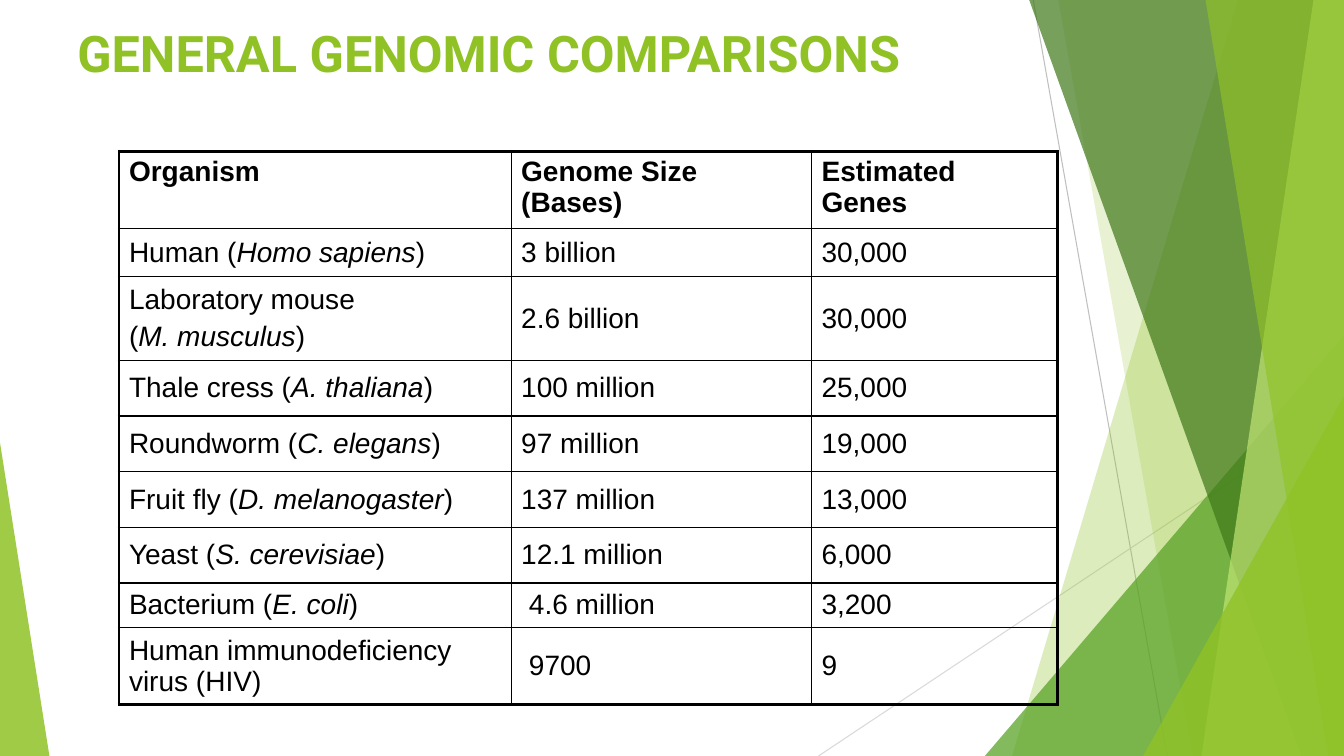
from dataclasses import dataclass

import pptx
import pptx.dml.color
import pptx.enum.shapes
import pptx.enum.text
import pptx.oxml
import pptx.oxml.ns
import pptx.util
from pptx.dml.color import RGBColor

LIME = RGBColor(0x90, 0xC2, 0x26)
GREEN = RGBColor(0x54, 0xA0, 0x21)
FOREST = RGBColor(0x3F, 0x78, 0x19)
PALE_LIME = RGBColor(0xC0, 0xE4, 0x74)
GREY = RGBColor(0xBF, 0xBF, 0xBF)
LIGHT_GREY = RGBColor(0xD9, 0xD9, 0xD9)
BLACK = RGBColor(0, 0, 0)

WIDTH = pptx.util.Inches(13.333)
HEIGHT = pptx.util.Inches(7.5)
THIN = pptx.util.Pt(1)
THICK = pptx.util.Pt(2.25)

Paragraph = tuple[str, ...]


@dataclass
class Ray:
    x1: float
    y1: float
    x2: float
    y2: float
    color: RGBColor


@dataclass
class Ribbon:
    top: float
    bottom: float
    color: RGBColor
    opacity: int


@dataclass
class Peak:
    left: float
    top: float
    width: float
    apex: float
    color: RGBColor
    opacity: int


@dataclass
class Row:
    organism: tuple[Paragraph, ...]
    genome: str
    genes: str
    height: float


RAYS = [
    Ray(76.88, 0, 86.85, 100, GREY),
    Ray(100, 53.73, 60.9, 100, LIGHT_GREY),
]
FACETS = [
    Ribbon(92.1, 75.3, LIME, 30),
    Ribbon(78.75, 88.73, LIME, 20),
    Peak(73.28, 44.4, 26.72, 1, GREEN, 72),
    Ribbon(76.58, 96.83, FOREST, 70),
    Ribbon(97.73, 89.4, PALE_LIME, 70),
    Ribbon(89.7, 98.85, LIME, 65),
    Peak(85.05, 52.4, 14.95, 1, LIME, 80),
    Peak(0, 58.53, 3.68, 0, LIME, 85),
]
COLUMNS = [29.18, 22.35, 18.3]
ROWS = [
    Row((("Organism",),), "Genome Size (Bases)", "Estimated Genes", 10.2),
    Row((("Human (", "Homo sapiens", ")"),), "3 billion", "30,000", 6.4),
    Row((("Laboratory mouse",), ("(", "M. musculus", ")")), "2.6 billion", "30,000", 11.07),
    Row((("Thale cress (", "A. thaliana", ")"),), "100 million", "25,000", 7.37),
    Row((("Roundworm (", "C. elegans", ")"),), "97 million", "19,000", 7.37),
    Row((("Fruit fly (", "D. melanogaster", ")"),), "137 million", "13,000", 7.37),
    Row((("Yeast (", "S. cerevisiae", ")"),), "12.1 million", "6,000", 7.37),
    Row((("Bacterium (", "E. coli", ")"),), " 4.6 million", "3,200", 5.87),
    Row((("Human immunodeficiency virus (HIV)",),), " 9700", "9", 10.2),
]


def across(share: float) -> int:
    return round(WIDTH * share / 100)


def down(share: float) -> int:
    return round(HEIGHT * share / 100)


def draw_ray(s, ray: Ray) -> None:
    line = s.shapes.add_connector(
        pptx.enum.shapes.MSO_CONNECTOR.STRAIGHT,
        across(ray.x1), down(ray.y1), across(ray.x2), down(ray.y2))
    line.line.color.rgb = ray.color
    line.line.width = pptx.util.Pt(0.75)
    pptx.oxml.ns.qn("a:effectLst")
    line.element.spPr.append(pptx.oxml.parse_xml(
        f'<a:effectLst {pptx.oxml.ns.nsdecls("a")}/>'))


def draw_facet(s, facet: Ribbon | Peak) -> None:
    if isinstance(facet, Ribbon):
        outline = s.shapes.build_freeform(across(facet.top), 0, scale=1.0)
        outline.add_line_segments(
            [(WIDTH, 0), (WIDTH, HEIGHT), (across(facet.bottom), HEIGHT)], close=True)
        sp = outline.convert_to_shape()
    else:
        sp = s.shapes.add_shape(
            pptx.enum.shapes.MSO_SHAPE.ISOSCELES_TRIANGLE,
            across(facet.left), down(facet.top),
            across(facet.width), down(100 - facet.top))
        sp.adjustments[0] = facet.apex
    sp.shadow.inherit = False
    sp.fill.solid()
    sp.fill.fore_color.rgb = facet.color
    sp.line.fill.background()
    for color in sp.element.spPr.iter(pptx.oxml.ns.qn("a:srgbClr")):
        color.append(pptx.oxml.parse_xml(
            f'<a:alpha {pptx.oxml.ns.nsdecls("a")} val="{facet.opacity * 1000}"/>'))


def draw_title(s, text: str) -> None:
    sp = s.shapes.title
    sp.left, sp.top = across(5), down(2.27)
    sp.width, sp.height = across(90), down(16.67)
    tf = sp.text_frame
    tf.word_wrap = True
    tf.auto_size = pptx.enum.text.MSO_AUTO_SIZE.NONE
    tf.vertical_anchor = pptx.enum.text.MSO_ANCHOR.TOP
    p = tf.paragraphs[0]
    p.alignment = pptx.enum.text.PP_ALIGN.LEFT
    r = p.add_run()
    r.text = text
    r.font.name = "Roboto"
    r.font.size = pptx.util.Pt(36)
    r.font.bold = True
    r.font.color.rgb = LIME
    sp.element.getparent().append(sp.element)


def set_borders(cell, i: int, j: int) -> None:
    outer = {"L": j == 0, "R": j == len(COLUMNS) - 1, "T": i == 0, "B": i == len(ROWS) - 1}
    tcPr = cell._tc.get_or_add_tcPr()
    for side, thick in outer.items():
        tcPr.append(pptx.oxml.parse_xml(
            f'<a:ln{side} {pptx.oxml.ns.nsdecls("a")} w="{THICK if thick else THIN}">'
            f'<a:solidFill><a:srgbClr val="{BLACK}"/></a:solidFill></a:ln{side}>'))


def fill_cell(cell, paragraphs: tuple[Paragraph, ...], header: bool) -> None:
    anchors = pptx.enum.text.MSO_ANCHOR
    cell.vertical_anchor = anchors.TOP if header else anchors.MIDDLE
    cell.fill.background()
    tf = cell.text_frame
    for k, spans in enumerate(paragraphs):
        p = tf.add_paragraph() if k else tf.paragraphs[0]
        if k:
            p.space_before = pptx.util.Pt(4)
        for n, span in enumerate(spans):
            r = p.add_run()
            r.text = span
            r.font.name = "Arial"
            r.font.size = pptx.util.Pt(20)
            r.font.bold = header
            r.font.italic = n % 2 == 1
            r.font.color.rgb = BLACK


def draw_table(s) -> None:
    table = s.shapes.add_table(
        len(ROWS), len(COLUMNS), across(8.85), down(20),
        across(sum(COLUMNS)), down(sum(row.height for row in ROWS))).table
    table.first_row = table.horz_banding = False
    for j, share in enumerate(COLUMNS):
        table.columns[j].width = across(share)
    for i, row in enumerate(ROWS):
        table.rows[i].height = down(row.height)
        for j, text in enumerate((row.organism, ((row.genome,),), ((row.genes,),))):
            cell = table.cell(i, j)
            set_borders(cell, i, j)
            fill_cell(cell, text, header=i == 0)


def main() -> None:
    prs = pptx.Presentation()
    prs.slide_width, prs.slide_height = WIDTH, HEIGHT
    s = prs.slides.add_slide(prs.slide_layouts[5])
    for ray in RAYS:
        draw_ray(s, ray)
    for facet in FACETS:
        draw_facet(s, facet)
    draw_title(s, "GENERAL GENOMIC COMPARISONS")
    draw_table(s)
    prs.save("out.pptx")


if __name__ == "__main__":
    main()
